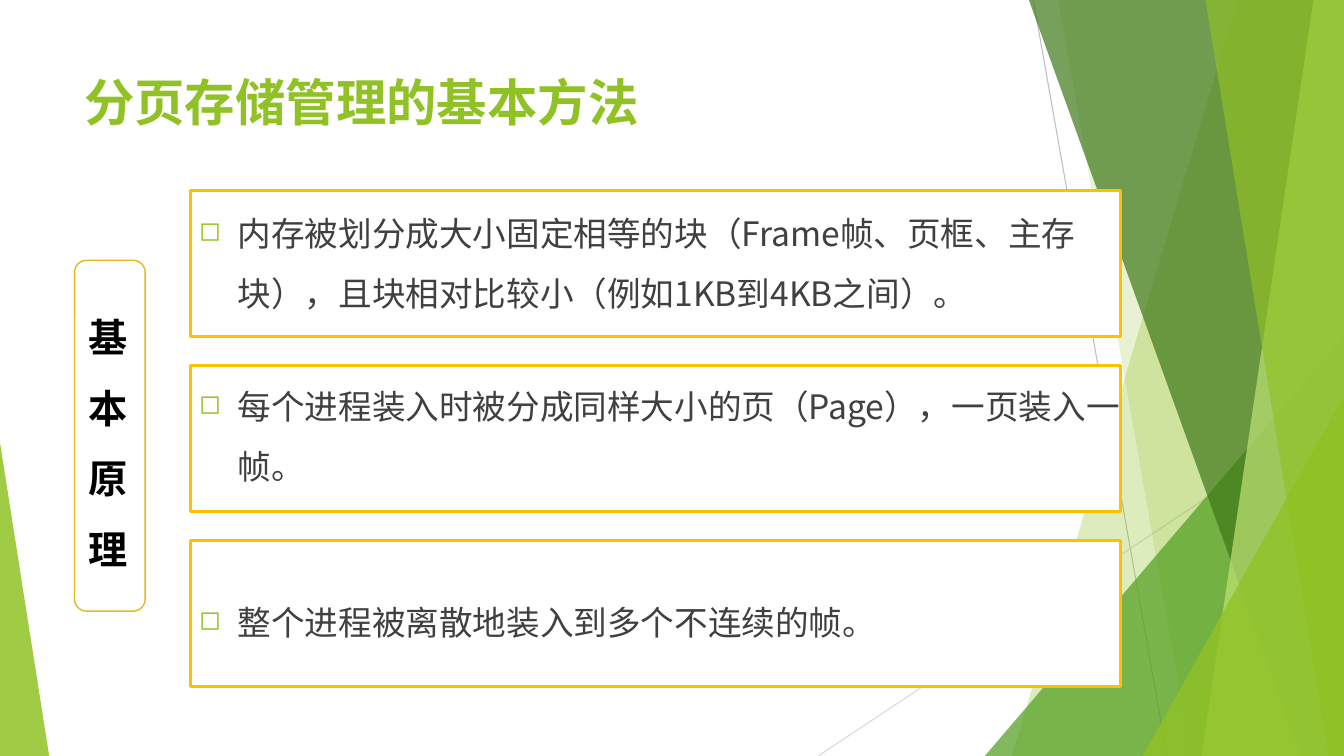
from dataclasses import dataclass
from lxml.etree import SubElement
from pptx import Presentation
from pptx.dml.color import RGBColor
from pptx.enum.shapes import MSO_CONNECTOR, MSO_SHAPE
from pptx.enum.text import MSO_ANCHOR, PP_ALIGN
from pptx.oxml.ns import qn
from pptx.util import Cm, Pt


@dataclass(frozen=True)
class Theme:
    """Colours, fonts and type sizes of the deck."""
    green: str = "90C225"
    leaf: str = "539F20"
    forest: str = "3E7818"
    lime: str = "C0E374"
    gold: str = "FFC000"
    amber: str = "E6B81E"
    white: str = "FFFFFF"
    black: str = "000000"
    body: str = "404040"
    grey: str = "BEBEBE"
    pale_grey: str = "D9D9D9"
    font: str = "Noto Sans CJK SC"
    label_font: str = "Noto Sans CJK TC"
    title_size: int = 36
    label_size: int = 28
    body_size: int = 24


@dataclass(frozen=True)
class Box:
    """A rectangle in centimetres."""
    left: float
    top: float
    width: float
    height: float

    def lengths(self):
        """Return the four sides as lengths."""
        return [Cm(side) for side in (self.left, self.top, self.width, self.height)]


THEME = Theme()
PAGE = Box(0, 0, 33.87, 19.05)
PRINCIPLES = [
    ("内存被划分成大小固定相等的块（Frame帧、页框、主存 块），且块相对比较小（例如1KB到4KB之间）。", 0.05, 1),
    ("每个进程装入时被分成同样大小的页（Page），一页装入一帧。", 0, 0),
    ("整个进程被离散地装入到多个不连续的帧。", 1.03, 0),
]


def colour(code):
    """Turn a hex code into a colour."""
    return RGBColor.from_string(code)


def add_span(para, text, size, code, font=THEME.font, bold=False):
    """Add one formatted run, with its East Asian font."""
    span = para.add_run()
    span.text = text
    span.font.name = font
    span.font.size = Pt(size)
    span.font.bold = bold
    span.font.color.rgb = colour(code)
    SubElement(span.font._element, qn("a:ea"), typeface=font)


def set_insets(frame, left=0, top=0, right=0, bottom=0):
    """Set the margins of a text frame in centimetres."""
    frame.margin_left, frame.margin_top = Cm(left), Cm(top)
    frame.margin_right, frame.margin_bottom = Cm(right), Cm(bottom)
    frame.word_wrap = True


def add_panel(page, preset, box, line_code, line_width):
    """Add a white outlined panel with top-anchored text."""
    panel = page.shapes.add_shape(preset, *box.lengths())
    panel.shadow.inherit = False
    panel.fill.solid()
    panel.fill.fore_color.rgb = colour(THEME.white)
    panel.line.color.rgb = colour(line_code)
    panel.line.width = Pt(line_width)
    panel.text_frame.vertical_anchor = MSO_ANCHOR.TOP
    panel.text_frame.paragraphs[0].alignment = PP_ALIGN.LEFT
    return panel


def add_hairline(page, start, end, code):
    """Add a thin straight line between two points."""
    line = page.shapes.add_connector(MSO_CONNECTOR.STRAIGHT, *map(Cm, start + end))
    line.line.color.rgb = colour(code)
    line.line.width = Pt(0.75)
    SubElement(line._element.spPr, qn("a:effectLst"))


def add_facet(page, points, code, opacity):
    """Add a translucent polygon."""
    corners = [(Cm(x), Cm(y)) for x, y in points]
    builder = page.shapes.build_freeform(*corners[0])
    builder.add_line_segments(corners[1:], close=True)
    facet = builder.convert_to_shape()
    facet.shadow.inherit = False
    facet.fill.solid()
    facet.fill.fore_color.rgb = colour(code)
    facet.line.fill.background()
    tint = facet._element.spPr.find(qn("a:solidFill"))[0]
    SubElement(tint, qn("a:alpha"), val=str(opacity * 1000))


def add_backdrop(page, box):
    """Draw the faceted green decoration along the edges of the box."""
    left, top = box.left, box.top
    right, bottom = left + box.width, top + box.height
    add_hairline(page, (left + 26.04, top), (left + 29.41, bottom), THEME.grey)
    add_hairline(page, (right, top + 10.24), (left + 20.62, bottom), THEME.pale_grey)
    bands = [
        (31.19, 25.5, 0, THEME.green, 30),
        (26.67, 30.02, 0, THEME.green, 20),
        (box.width, 24.82, 8.46, THEME.leaf, 72),
        (25.93, 32.79, 0, THEME.forest, 70),
        (33.1, 30.28, 0, THEME.lime, 70),
        (30.38, 33.48, 0, THEME.green, 65),
        (box.width, 28.8, 9.98, THEME.green, 80),
    ]
    for upper, lower, drop, code, opacity in bands:
        points = [(right, top + drop), (left + lower, bottom), (right, bottom)]
        if upper < box.width:
            points.insert(1, (left + upper, top + drop))
        add_facet(page, points, code, opacity)
    wedge = [(left, top + 11.15), (left, bottom), (left + 1.24, bottom)]
    add_facet(page, wedge, THEME.green, 85)


def add_title(page, box, text):
    """Place and format the title placeholder."""
    title = page.shapes.title
    title.left, title.top, title.width, title.height = box.lengths()
    set_insets(title.text_frame)
    title.text_frame.vertical_anchor = MSO_ANCHOR.MIDDLE
    para = title.text_frame.paragraphs[0]
    para.alignment = PP_ALIGN.LEFT
    add_span(para, text, THEME.title_size, THEME.green, bold=True)


def add_label(page, box, text):
    """Add the rounded label, wide enough for one character and its space."""
    label = add_panel(page, MSO_SHAPE.ROUNDED_RECTANGLE, box, THEME.amber, 1)
    label.adjustments[0] = 0.17
    set_insets(label.text_frame, left=0.26, top=0.66)
    para = label.text_frame.paragraphs[0]
    para.line_spacing = Pt(50.4)
    add_span(para, text, THEME.label_size, THEME.black, THEME.label_font, True)


def add_bullet(para):
    """Give a paragraph a hanging green square bullet."""
    settings = para._p.get_or_add_pPr()
    settings.set("marL", str(Cm(1.19)))
    settings.set("indent", str(-Cm(0.97)))
    tint = SubElement(settings, qn("a:buClr"))
    SubElement(tint, qn("a:srgbClr"), val=THEME.green)
    SubElement(settings, qn("a:buSzPct"), val="79000")
    SubElement(settings, qn("a:buChar"), char="◻")


def add_principles(page, box, items, gap=0.74):
    """Stack one bulleted panel per item in the box."""
    height = (box.height - gap * (len(items) - 1)) / len(items)
    for index, (text, top_inset, right_inset) in enumerate(items):
        place = Box(box.left, box.top + index * (height + gap), box.width, height)
        panel = add_panel(page, MSO_SHAPE.RECTANGLE, place, THEME.gold, 2.25)
        set_insets(panel.text_frame, top=top_inset, right=right_inset)
        para = panel.text_frame.paragraphs[0]
        add_bullet(para)
        para.line_spacing = Pt(43.2)
        add_span(para, text, THEME.body_size, THEME.body)


def main():
    """Build the slide and save the deck."""
    deck = Presentation()
    deck.slide_width, deck.slide_height = Cm(PAGE.width), Cm(PAGE.height)
    page = deck.slides.add_slide(deck.slide_layouts[5])
    add_backdrop(page, PAGE)
    add_title(page, Box(2.12, 1.75, 15.2, 1.6), "分页存储管理的基本方法")
    add_label(page, Box(1.88, 6.56, 1.78, 8.84), "基 本 原 理")
    add_principles(page, Box(4.8, 4.8, 23.45, 12.5), PRINCIPLES)
    deck.save("out.pptx")


if __name__ == "__main__":
    main()
